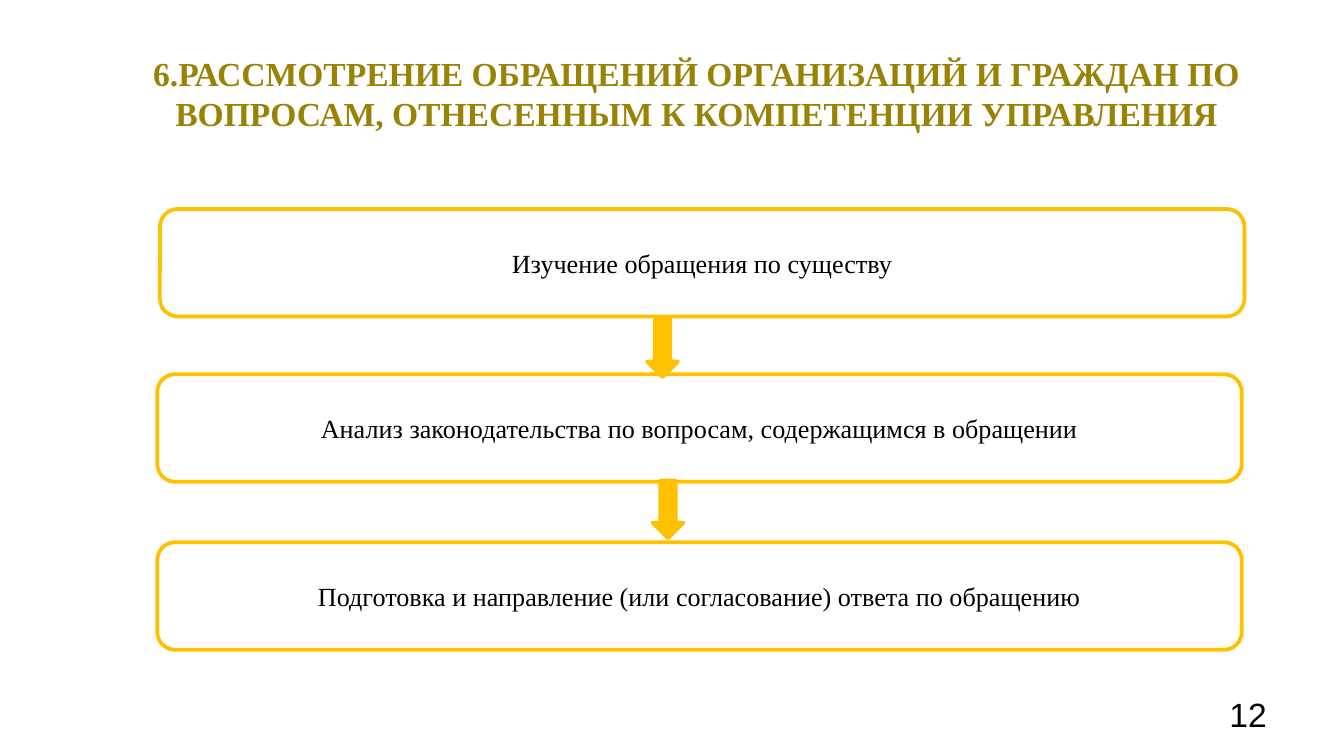
from dataclasses import dataclass

from pptx import Presentation
from pptx.dml.color import RGBColor
from pptx.enum.shapes import MSO_SHAPE
from pptx.enum.text import MSO_ANCHOR, PP_ALIGN
from pptx.util import Pt

ROUNDED_BOX = MSO_SHAPE.ROUNDED_RECTANGLE
DOWN_ARROW = MSO_SHAPE.DOWN_ARROW
TOP, MIDDLE = MSO_ANCHOR.TOP, MSO_ANCHOR.MIDDLE
CENTER, RIGHT = PP_ALIGN.CENTER, PP_ALIGN.RIGHT

EMU_PER_PX = 4572  # 200 px to the inch
SLIDE_WIDTH, SLIDE_HEIGHT = 2000, 1125
STEP_WIDTH, STEP_HEIGHT = 1614, 160
ARROW_WIDTH, ARROW_HEIGHT = 46, 86

TITLE = ("6.РАССМОТРЕНИЕ ОБРАЩЕНИЙ ОРГАНИЗАЦИЙ И ГРАЖДАН ПО "
         "ВОПРОСАМ, ОТНЕСЕННЫМ К КОМПЕТЕНЦИИ УПРАВЛЕНИЯ")
# Offsets (left, top) within the flow region
STEPS = [
    (4, 0, "Изучение обращения по существу"),
    (0, 246, "Анализ законодательства по вопросам, содержащимся в обращении"),
    (0, 496, "Подготовка и направление (или согласование) ответа по обращению"),
]
ARROWS = [(729, 164), (737, 404)]


@dataclass(frozen=True)
class Theme:
    title_color: RGBColor = RGBColor(0x99, 0x83, 0x07)
    text_color: RGBColor = RGBColor(0, 0, 0)
    accent: RGBColor = RGBColor(0xFF, 0xC0, 0x00)
    serif: str = "Times New Roman"
    sans: str = "Arial"
    large: int = 18
    body: int = 14
    line_width: int = 2


THEME = Theme()


def px(value):
    return int(value * EMU_PER_PX)


def write_text(shape, text, *, size, font=THEME.serif, color=THEME.text_color,
               bold=False, align=CENTER, anchor=MIDDLE):
    frame = shape.text_frame
    frame.word_wrap = True
    frame.vertical_anchor = anchor
    frame.margin_left = frame.margin_right = px(14)
    frame.margin_top = frame.margin_bottom = px(8)
    paragraph = frame.paragraphs[0]
    paragraph.alignment = align
    run = paragraph.add_run()
    run.text = text
    run.font.name = font
    run.font.size = Pt(size)
    run.font.bold = bold
    run.font.color.rgb = color


def add_text(slide, box, text, **text_format):
    write_text(slide.shapes.add_textbox(*map(px, box)), text, **text_format)


def add_outlined_shape(slide, kind, box, fill=None):
    shape = slide.shapes.add_shape(kind, *map(px, box))
    shape.shadow.inherit = False
    if fill is None:
        shape.fill.background()
    else:
        shape.fill.solid()
        shape.fill.fore_color.rgb = fill
    shape.line.color.rgb = THEME.accent
    shape.line.width = Pt(THEME.line_width)
    return shape


def add_title(slide, box):
    add_text(slide, box, TITLE, size=THEME.large, color=THEME.title_color, bold=True)


def add_page_number(slide, box, number):
    add_text(slide, box, str(number), size=THEME.large, font=THEME.sans,
             align=RIGHT, anchor=TOP)


def add_flow(slide, left, top):
    """Draw the steps from top to bottom, joined by block arrows."""
    for offset_x, offset_y, text in STEPS:
        step = add_outlined_shape(
            slide, ROUNDED_BOX,
            (left + offset_x, top + offset_y, STEP_WIDTH, STEP_HEIGHT))
        write_text(step, text, size=THEME.body)
    for offset_x, offset_y in ARROWS:
        add_outlined_shape(
            slide, DOWN_ARROW,
            (left + offset_x, top + offset_y, ARROW_WIDTH, ARROW_HEIGHT),
            fill=THEME.accent)


def main():
    presentation = Presentation()
    presentation.slide_width = px(SLIDE_WIDTH)
    presentation.slide_height = px(SLIDE_HEIGHT)
    slide = presentation.slides.add_slide(presentation.slide_layouts[6])
    add_title(slide, (173, 45, 1728, 188))
    add_page_number(slide, (1433, 1025, 466, 78), 12)
    add_flow(slide, 234, 311)
    presentation.save("out.pptx")


if __name__ == "__main__":
    main()
